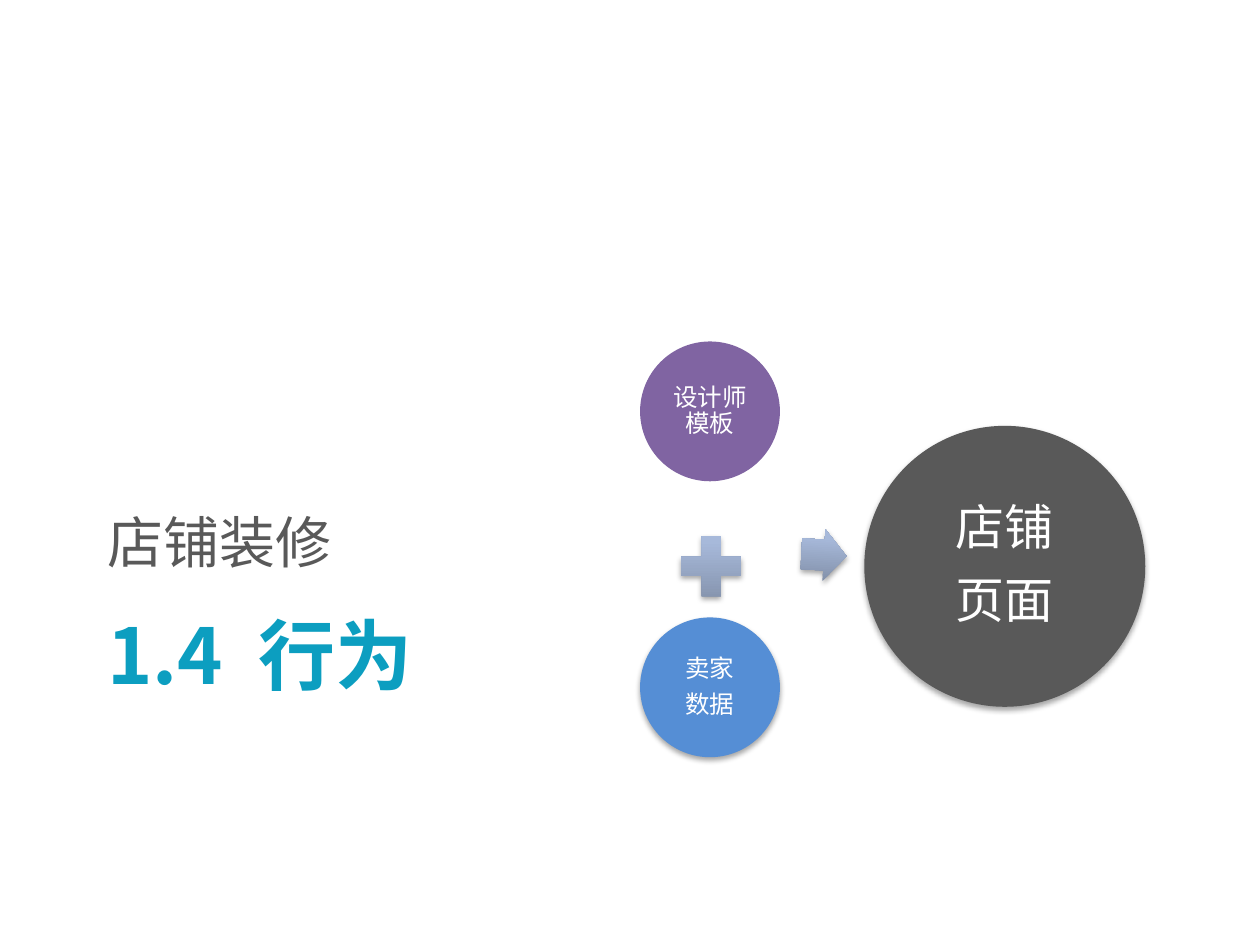
from lxml.etree import SubElement
from pptx import Presentation
from pptx.dml.color import RGBColor
from pptx.enum.shapes import MSO_SHAPE
from pptx.enum.text import MSO_ANCHOR, MSO_AUTO_SIZE, PP_ALIGN
from pptx.oxml.ns import qn
from pptx.util import Inches, Pt

FONT = "Noto Sans CJK SC"
COLORS = {
    "title": "0C9EC0", "gray": "595959", "white": "FFFFFF",
    "purple": "8064A2", "blue": "558ED5",
    "sign_dark": "818FA8", "sign_light": "A7B9DA", "shadow": "000000",
}


def rgb(name):
    return RGBColor.from_string(COLORS[name])


def format_run(r, size, color, bold=False):
    r.font.name = FONT
    r.font.size = Pt(size)
    r.font.bold = bold
    r.font.color.rgb = rgb(color)
    SubElement(r.font._element, qn("a:ea"), typeface=FONT)


def place(sp, left, top, width, height):
    sp.left, sp.top = Inches(left), Inches(top)
    sp.width, sp.height = Inches(width), Inches(height)


def add_shadow(sp):
    effects = sp._element.spPr.find(qn("a:effectLst"))
    shadow = SubElement(effects, qn("a:outerShdw"), blurRad=str(Pt(3.1)),
                        dist=str(Pt(1.8)), dir="5400000", rotWithShape="0")
    color = SubElement(shadow, qn("a:srgbClr"), val=COLORS["shadow"])
    SubElement(color, qn("a:alpha"), val="35000")


def add_shape(slide, kind, left, top, width, height, shadow=True):
    sp = slide.shapes.add_shape(kind, Inches(left), Inches(top),
                                Inches(width), Inches(height))
    sp.line.fill.background()
    sp.shadow.inherit = False
    if shadow:
        add_shadow(sp)
    return sp


def add_circle(slide, left, top, diameter, lines, size, color, inset, shadow=True):
    sp = add_shape(slide, MSO_SHAPE.OVAL, left, top, diameter, diameter, shadow)
    sp.fill.solid()
    sp.fill.fore_color.rgb = rgb(color)
    tf = sp.text_frame
    tf.word_wrap = True
    tf.vertical_anchor = MSO_ANCHOR.MIDDLE
    tf.margin_left = tf.margin_right = Inches(inset)
    tf.margin_top = tf.margin_bottom = Inches(inset)
    tf.text = "\n".join(lines)
    for p in tf.paragraphs:
        p.alignment = PP_ALIGN.CENTER
        p.line_spacing = 0.9
        p.space_after = Pt(size * 0.4)
        format_run(p.runs[0], size, "white")


def add_sign(slide, kind, left, top, width, height):
    sp = add_shape(slide, kind, left, top, width, height)
    sp.fill.gradient()
    sp.fill.gradient_angle = 90
    stops = zip(sp.fill.gradient_stops, ((0, "sign_dark"), (0.8, "sign_light")))
    for stop, (position, color) in stops:
        stop.position = position
        stop.color.rgb = rgb(color)
    return sp


def add_headings(slide, left, top, width):
    # Section name above the title
    body = slide.placeholders[1]
    place(body, left, top, width, 3.83)
    tf = body.text_frame
    tf.auto_size = MSO_AUTO_SIZE.NONE
    tf.vertical_anchor = MSO_ANCHOR.BOTTOM
    tf.text = "店铺装修"
    p = tf.paragraphs[0]
    pPr = p._p.get_or_add_pPr()
    pPr.set("marL", "0")
    pPr.set("indent", "0")
    SubElement(pPr, qn("a:buNone"))
    p.line_spacing = 1.5
    p.space_before = Pt(0)
    format_run(p.runs[0], 32, "gray")

    # Title, with a widened gap after the number
    title = slide.shapes.title
    place(title, left, top + 3.99, width, 1.49)
    tf = title.text_frame
    tf.auto_size = MSO_AUTO_SIZE.NONE
    tf.vertical_anchor = MSO_ANCHOR.TOP
    p = tf.paragraphs[0]
    p.alignment = PP_ALIGN.LEFT
    for text in ("1.4", " ", "行为"):
        r = p.add_run()
        r.text = text
        format_run(r, 44, "title", bold=True)
    p.runs[1].font._element.set("spc", "1000")


def add_equation(slide, left, top):
    # Inputs: template plus data
    add_circle(slide, left, top, 1.11, ["设计师模板"], 14, "purple", 0.02, shadow=False)
    add_sign(slide, MSO_SHAPE.MATH_PLUS, left + 0.24, top + 1.46, 0.65, 0.65)
    add_circle(slide, left, top + 2.19, 1.11, ["卖家", "数据"], 14, "blue", 0.02)

    # Result: shop page
    arrow = add_sign(slide, MSO_SHAPE.RIGHT_ARROW, left + 1.28, top + 1.49, 0.36, 0.41)
    arrow.adjustments[0] = 0.6
    arrow.rotation = 3.1
    add_circle(slide, left + 1.78, top + 0.67, 2.23, ["店铺", "页面"], 28, "gray", 0.04)


def main():
    prs = Presentation()
    prs.slide_width, prs.slide_height = Inches(10), Inches(7.5)
    slide = prs.slides.add_slide(prs.slide_layouts[1])
    add_headings(slide, 0.75, 0.78, 8.5)
    add_equation(slide, 5.08, 2.71)
    prs.save("out.pptx")


if __name__ == "__main__":
    main()
